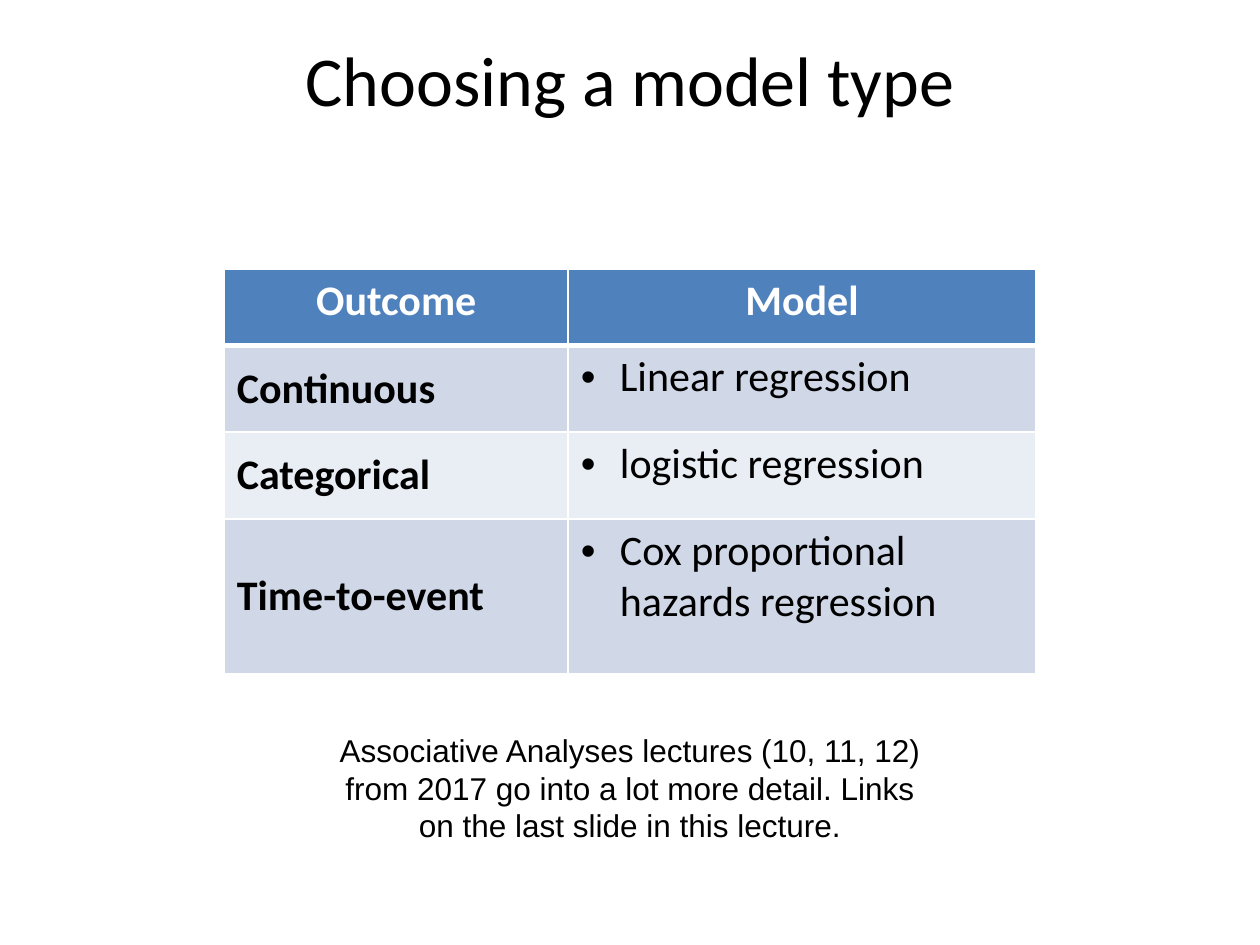
from lxml import etree
from pptx import Presentation
from pptx.dml.color import RGBColor
from pptx.enum import text
from pptx.oxml import ns
from pptx.util import Inches, Pt

BLACK = RGBColor(0x00, 0x00, 0x00)
WHITE = RGBColor(0xFF, 0xFF, 0xFF)
HEADER_BLUE = RGBColor(0x4F, 0x81, 0xBD)
BANDS = (RGBColor(0xD0, 0xD8, 0xE8), RGBColor(0xE9, 0xED, 0xF4))

COLUMN_WIDTHS = (2.73, 3.71)
ROW_HEIGHTS = (0.6, 0.69, 0.69, 1.23)
MODELS = (
    ("Outcome", "Model"),
    ("Continuous", "Linear regression"),
    ("Categorical", "logistic regression"),
    ("Time-to-event", "Cox proportional hazards regression"),
)


def write(frame, words, size, font="Calibri", color=BLACK, bold=False, align=text.PP_ALIGN.CENTER):
    para = frame.paragraphs[0]
    para.alignment = align
    span = para.add_run()
    span.text = words
    span.font.name = font
    span.font.size = Pt(size)
    span.font.bold = bold
    span.font.color.rgb = color


def add_bullet(para, indent):
    properties = para._p.get_or_add_pPr()
    properties.set("marL", str(indent))
    properties.set("indent", str(-indent))
    font = etree.SubElement(properties, ns.qn("a:buFont"))
    font.set("typeface", "Arial")
    bullet = etree.SubElement(properties, ns.qn("a:buChar"))
    bullet.set("char", "•")


def add_borders(cell, **widths):
    """Draw white cell borders; widths are points by side: L, R, T, B."""
    properties = cell._tc.get_or_add_tcPr()
    for side, width in widths.items():
        line = etree.SubElement(properties, ns.qn(f"a:ln{side}"), w=str(Pt(width)))
        fill = etree.SubElement(line, ns.qn("a:solidFill"))
        etree.SubElement(fill, ns.qn("a:srgbClr"), val=str(WHITE))


def fill_cell(cell, words, row, column):
    is_header = row == 0
    is_model = not is_header and column == 1
    add_borders(cell, L=1, R=1, T=3 if row == 1 else 1, B=3 if is_header else 1)
    cell.fill.solid()
    cell.fill.fore_color.rgb = HEADER_BLUE if is_header else BANDS[(row - 1) % 2]
    if is_model:
        add_bullet(cell.text_frame.paragraphs[0], Inches(0.31))
    elif not is_header:
        cell.vertical_anchor = text.MSO_ANCHOR.MIDDLE
    write(
        cell.text_frame, words, 24,
        color=WHITE if is_header else BLACK,
        bold=not is_model,
        align=text.PP_ALIGN.CENTER if is_header else text.PP_ALIGN.LEFT,
    )


def add_title(page, words):
    title = page.shapes.title
    title.left, title.top = Inches(0), Inches(0)
    title.width, title.height = Inches(10), Inches(1.25)
    title.text_frame.vertical_anchor = text.MSO_ANCHOR.MIDDLE
    write(title.text_frame, words, 40)


def add_model_table(page):
    table = page.shapes.add_table(
        len(ROW_HEIGHTS), len(COLUMN_WIDTHS), Inches(1.78), Inches(2.14),
        Inches(sum(COLUMN_WIDTHS)), Inches(sum(ROW_HEIGHTS)),
    ).table
    for column, width in zip(table.columns, COLUMN_WIDTHS):
        column.width = Inches(width)
    for row, height in zip(table.rows, ROW_HEIGHTS):
        row.height = Inches(height)
    for row, entries in enumerate(MODELS):
        for column, words in enumerate(entries):
            fill_cell(table.cell(row, column), words, row, column)


def add_note(page, words):
    box = page.shapes.add_textbox(Inches(2.5), Inches(5.75), Inches(5), Inches(1.01))
    box.text_frame.word_wrap = True
    box.text_frame.auto_size = text.MSO_AUTO_SIZE.SHAPE_TO_FIT_TEXT
    write(box.text_frame, words, 18, font="Arial")


def main():
    deck = Presentation()
    deck.slide_width, deck.slide_height = Inches(10), Inches(7.5)
    page = deck.slides.add_slide(deck.slide_layouts.get_by_name("Title Only"))
    add_title(page, "Choosing a model type")
    add_model_table(page)
    add_note(
        page,
        "Associative Analyses lectures (10, 11, 12) from 2017 go into a lot more detail. "
        "Links on the last slide in this lecture.",
    )
    deck.save("out.pptx")


if __name__ == "__main__":
    main()
